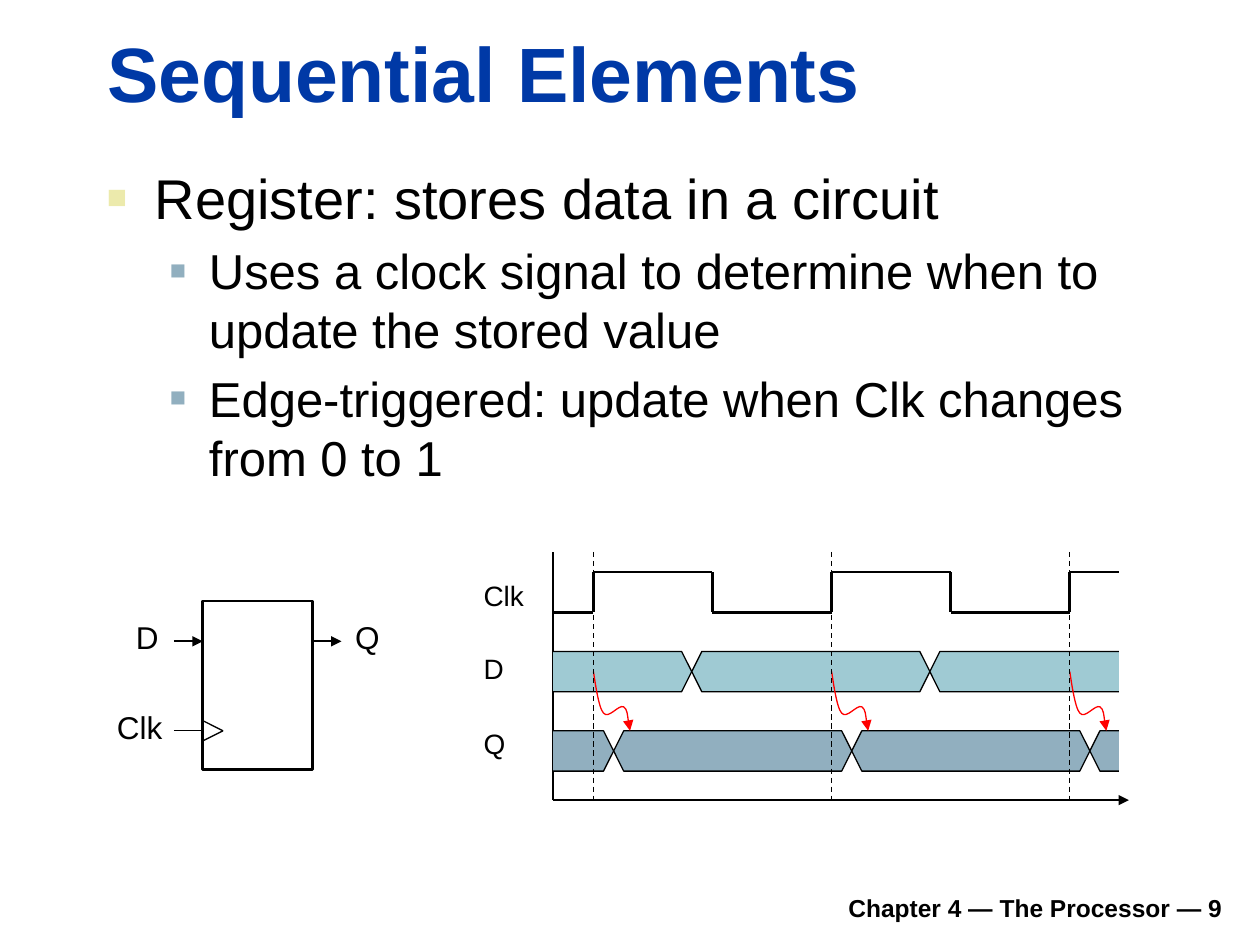
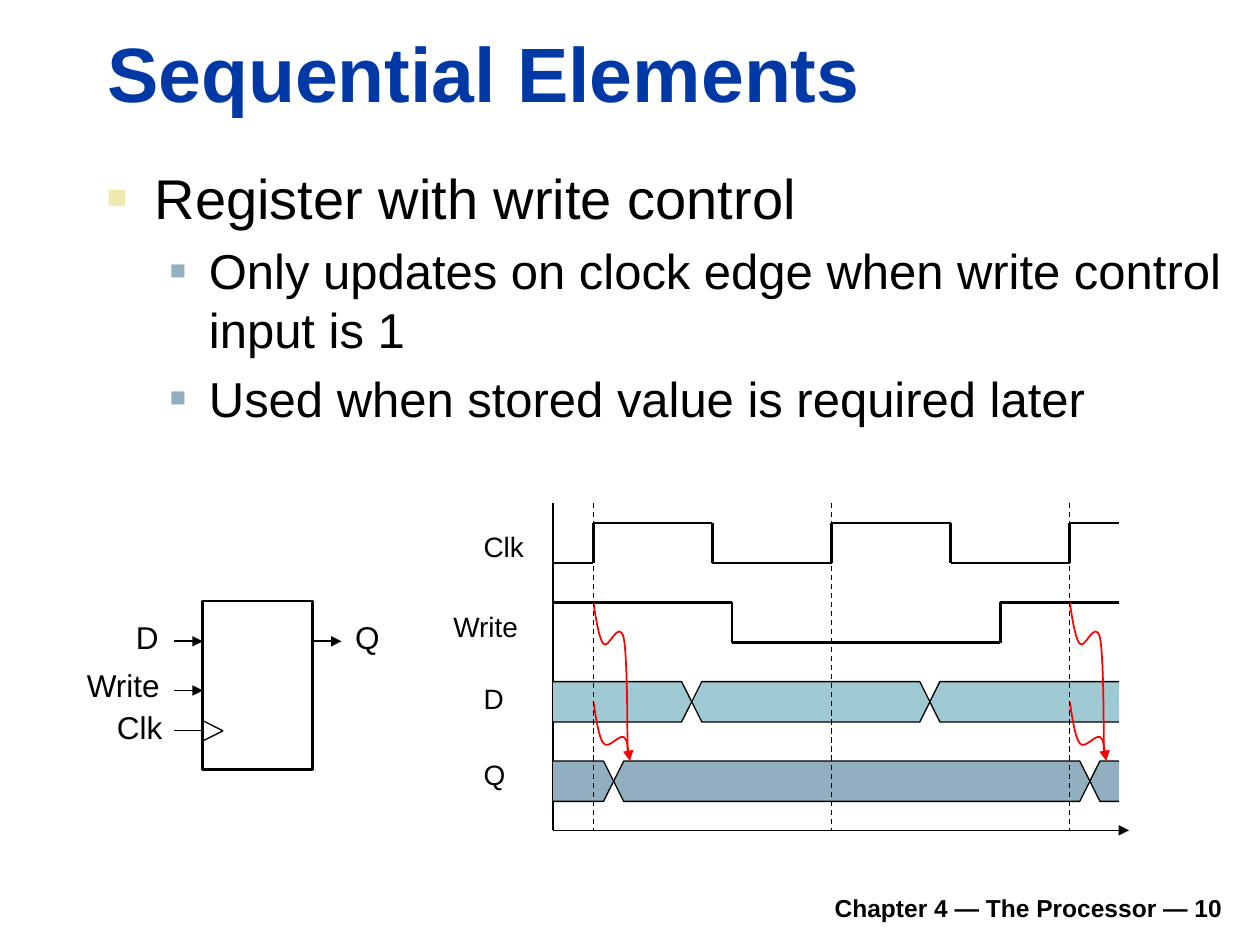
from itertools import pairwise

from lxml.etree import SubElement
from pptx import Presentation
from pptx.dml.color import RGBColor
from pptx.enum.dml import MSO_LINE
from pptx.enum.shapes import MSO_CONNECTOR, MSO_SHAPE
from pptx.enum.text import MSO_ANCHOR, MSO_AUTO_SIZE, PP_ALIGN
from pptx.oxml.ns import qn
from pptx.util import Inches, Pt

BLACK = RGBColor(0x00, 0x00, 0x00)
TITLE_BLUE = RGBColor(0x00, 0x39, 0xA6)
SAND = RGBColor(0xEC, 0xEA, 0xAC)
STEEL = RGBColor(0x91, 0xAF, 0xBF)
AQUA = RGBColor(0x9F, 0xCA, 0xD3)
RED = RGBColor(0xFF, 0x00, 0x00)
FONT = "Arial"

# Outline levels: margin, hanging indent, bullet colour, bullet size, text size
LEVELS = [(0.38, 0.38, SAND, 60, 32), (0.81, 0.31, STEEL, 55, 28)]

# Timing diagram measures, in inches from its top left corner
FIRST_ROW, ROW_PITCH, ROW_HEIGHT, BELOW_ROWS = 0.16, 0.63, 0.32, 0.55
PERIOD, SPAN, SLOPE = 1.89, 4.49, 0.08
CLOCK_EDGES = [0.32 + PERIOD * cycle for cycle in range(3)]
D_CHANGES = [edge + 0.78 for edge in CLOCK_EDGES[:2]]
Q_DELAY = 0.16
LABEL_SHIFTS = {"Clk": (-0.65, 0), "Write": (-0.89, 0.01),
                "D": (-0.65, -0.05), "Q": (-0.65, -0.08)}

# Bezier points of the cause-and-effect curves, from the clock edge
CURVE_START = [(0, 0), (0.01, 0.06), (0.04, 0.29), (0.08, 0.33)]
DATA_CURVE = CURVE_START + [(0.12, 0.38), (0.2, 0.26), (0.24, 0.28),
                            (0.27, 0.3), (0.28, 0.43), (0.29, 0.47)]
WRITE_CURVE = CURVE_START + [(0.12, 0.38), (0.2, 0.13), (0.24, 0.28),
                             (0.27, 0.42), (0.27, 1.01), (0.27, 1.2)]


# Shared drawing helpers
def add_run(paragraph, text, size, color=BLACK, bold=False):
    run = paragraph.add_run()
    run.text = text
    run.font.name, run.font.size, run.font.bold = FONT, Pt(size), bold
    run.font.color.rgb = color


def style_line(shape, width, color=BLACK, arrow=False):
    shape.line.color.rgb = color
    shape.line.width = Pt(width)
    if arrow:
        outline = shape._element.spPr.find(qn("a:ln"))
        SubElement(outline, qn("a:tailEnd"), type="triangle")


def add_line(shapes, start, end, width=0.75, arrow=False, dashed=False):
    line = shapes.add_connector(MSO_CONNECTOR.STRAIGHT,
                                *map(Inches, (*start, *end)))
    style_line(line, width)
    if dashed:
        line.line.dash_style = MSO_LINE.DASH
    if arrow:
        style_line(line, width, arrow=True)
    SubElement(line._element.spPr, qn("a:effectLst"))


def add_label(shapes, text, x, y, size):
    label = shapes.add_textbox(*map(Inches, (x, y, 0.15 + 0.14 * len(text), 0.4)))
    label.text_frame.word_wrap = False
    label.text_frame.auto_size = MSO_AUTO_SIZE.SHAPE_TO_FIT_TEXT
    add_run(label.text_frame.paragraphs[0], text, size)


def add_outline(shapes, points, closed):
    corners = [(Inches(x), Inches(y)) for x, y in points]
    builder = shapes.build_freeform(*corners[0])
    builder.add_line_segments(corners[1:], close=closed)
    outline = builder.convert_to_shape()
    outline.shadow.inherit = False
    return outline


def add_curve(shapes, points, x, y, width, arrow):
    curve = add_outline(shapes, [(x + dx, y + dy) for dx, dy in points], False)
    curve.fill.background()
    style_line(curve, width, RED, arrow)
    # Join every three straight segments into one Bezier segment
    segments = list(curve._element.iter(qn("a:lnTo")))
    for first in range(0, len(segments), 3):
        bezier = segments[first]
        bezier.tag = qn("a:cubicBezTo")
        for segment in segments[first + 1:first + 3]:
            bezier.append(segment[0])
            segment.getparent().remove(segment)


# Title, outline and footer
def add_title(slide, text):
    title = slide.shapes.title
    title.left, title.top, title.width, title.height = map(
        Inches, (0.75, 0.16, 9.03, 0.83))
    title.text_frame.vertical_anchor = MSO_ANCHOR.BOTTOM
    title.text_frame.auto_size = MSO_AUTO_SIZE.NONE
    paragraph = title.text_frame.paragraphs[0]
    paragraph.alignment = PP_ALIGN.LEFT
    add_run(paragraph, text, 44, TITLE_BLUE, bold=True)


def add_points(slide, points, height):
    body = slide.shapes.add_textbox(*map(Inches, (0.75, 1.25, 9.05, height)))
    frame = body.text_frame
    frame.word_wrap = True
    for index, (level, text) in enumerate(points):
        paragraph = frame.add_paragraph() if index else frame.paragraphs[0]
        margin, indent, bullet_color, bullet_size, size = LEVELS[level]
        paragraph.level = level
        if index:
            paragraph.space_before = Pt(size * 0.2)
        props = paragraph._p.get_or_add_pPr()
        props.set("marL", str(Inches(margin)))
        props.set("indent", str(-Inches(indent)))
        color = SubElement(props, qn("a:buClr"))
        SubElement(color, qn("a:srgbClr"), val=str(bullet_color))
        SubElement(props, qn("a:buSzPct"), val=str(bullet_size * 1000))
        SubElement(props, qn("a:buFont"), typeface=FONT)
        SubElement(props, qn("a:buChar"), char="■")
        add_run(paragraph, text, size)


def add_footer(slide, number):
    footer = slide.shapes.add_textbox(*map(Inches, (1.85, 6.98, 7.95, 0.39)))
    footer.text_frame.word_wrap = True
    footer.text_frame.vertical_anchor = MSO_ANCHOR.BOTTOM
    paragraph = footer.text_frame.paragraphs[0]
    paragraph.alignment = PP_ALIGN.RIGHT
    add_run(paragraph, f"Chapter 4 — The Processor — {number}", 14, bold=True)


# Register symbol with its inputs and output
def draw_register(slide, left, top, has_write):
    shapes = slide.shapes.add_group_shape().shapes
    width, height, lead = 0.87, 1.34, 0.23
    right, data_y, clock_y = left + width, top + 0.32, top + 1.03
    register = shapes.add_shape(MSO_SHAPE.RECTANGLE,
                                *map(Inches, (left, top, width, height)))
    register.shadow.inherit = False
    register.fill.background()
    style_line(register, 1.5)

    add_line(shapes, (left - lead, data_y), (left, data_y), 1, arrow=True)
    add_line(shapes, (right, data_y), (right + lead, data_y), 1, arrow=True)
    add_line(shapes, (left - lead, clock_y), (left, clock_y))
    for offset in (-0.08, 0.08):
        add_line(shapes, (left, clock_y + offset), (left + 0.16, clock_y))

    labels = [("D", -0.63, 0.09), ("Clk", -0.78, 0.8), ("Q", 1.11, 0.09)]
    if has_write:
        write_y = top + 0.71
        add_line(shapes, (left - lead, write_y), (left, write_y), 1, arrow=True)
        labels.append(("Write", -1.02, 0.47))
    for text, dx, dy in labels:
        add_label(shapes, text, left + dx, top + dy, 18)


# Timing diagram
def draw_trace(shapes, left, y, steps):
    """Draw a two-level signal; steps holds (start, is_high) pairs."""
    corners = []
    for (start, high), (end, _) in pairwise([*steps, (SPAN, None)]):
        level = y if high else y + ROW_HEIGHT
        corners += [(left + start, level), (left + end, level)]
    for start, end in pairwise(corners):
        add_line(shapes, start, end, 1.5)


def draw_band(shapes, left, y, changes, color):
    """Draw a data value band that crosses over at each change."""
    for start, end in pairwise([0, *changes, SPAN]):
        opens, closes = start == 0, end == SPAN
        left_tip = [(start + SLOPE, ROW_HEIGHT), (start, ROW_HEIGHT / 2),
                    (start + SLOPE, 0)]
        right_tip = [(end - SLOPE, 0), (end, ROW_HEIGHT / 2),
                     (end - SLOPE, ROW_HEIGHT)]
        if opens:
            points = [(0, 0), *right_tip, (0, ROW_HEIGHT)]
        elif closes:
            points = [(SPAN, ROW_HEIGHT), *left_tip, (SPAN, 0)]
        else:
            points = left_tip + right_tip
        piece = add_outline(shapes, [(left + x, y + dy) for x, dy in points],
                            closed=not (opens or closes))
        piece.fill.solid()
        piece.fill.fore_color.rgb = color
        style_line(piece, 0.75)


def draw_timing(slide, left, top, signals, active_edges, curve_width):
    shapes = slide.shapes.add_group_shape().shapes
    rows = {name: top + FIRST_ROW + ROW_PITCH * index
            for index, name in enumerate(signals)}
    bottom = rows["Q"] + BELOW_ROWS

    # Axes and signal names
    add_line(shapes, (left, bottom), (left + 4.57, bottom), arrow=True)
    add_line(shapes, (left, bottom), (left, top))
    for name, y in rows.items():
        dx, dy = LABEL_SHIFTS[name]
        add_label(shapes, name, left + dx, y + dy, 16)

    # Signals
    clock_steps = [(0, False)]
    for edge in CLOCK_EDGES:
        clock_steps += [(edge, True), (edge + PERIOD / 2, False)]
    draw_trace(shapes, left, rows["Clk"], clock_steps[:-1])
    if "Write" in rows:
        draw_trace(shapes, left, rows["Write"],
                   [(0, True), (1.42, False), (3.55, True)])
    draw_band(shapes, left, rows["D"], D_CHANGES, AQUA)
    draw_band(shapes, left, rows["Q"],
              [edge + Q_DELAY for edge in active_edges], STEEL)

    # Causes of each register update
    for edge in active_edges:
        add_curve(shapes, DATA_CURVE, left + edge, rows["D"] + ROW_HEIGHT / 2,
                  curve_width, arrow=True)
        if "Write" in rows:
            add_curve(shapes, WRITE_CURVE, left + edge, rows["Write"],
                      curve_width, arrow=False)
    for edge in CLOCK_EDGES:
        add_line(shapes, (left + edge, top), (left + edge, bottom), dashed=True)


def add_register_slide(deck, number, points, body_height, signals,
                       timing_top, active_edges, curve_width):
    slide = deck.slides.add_slide(deck.slide_layouts[5])
    add_footer(slide, number)
    add_title(slide, "Sequential Elements")
    add_points(slide, points, body_height)
    draw_register(slide, 1.61, 4.77, "Write" in signals)
    draw_timing(slide, 4.39, timing_top, signals, active_edges, curve_width)


def main():
    deck = Presentation()
    deck.slide_width, deck.slide_height = Inches(10), Inches(7.5)
    add_register_slide(
        deck, 9,
        [(0, "Register: stores data in a circuit"),
         (1, "Uses a clock signal to determine when to update the stored value"),
         (1, "Edge-triggered: update when Clk changes from 0 to 1")],
        3.02, ["Clk", "D", "Q"], 4.38, CLOCK_EDGES, 0.75)
    add_register_slide(
        deck, 10,
        [(0, "Register with write control"),
         (1, "Only updates on clock edge when write control input is 1"),
         (1, "Used when stored value is required later")],
        2.52, ["Clk", "Write", "D", "Q"], 3.99, CLOCK_EDGES[::2], 1)
    deck.save("out.pptx")


if __name__ == "__main__":
    main()
